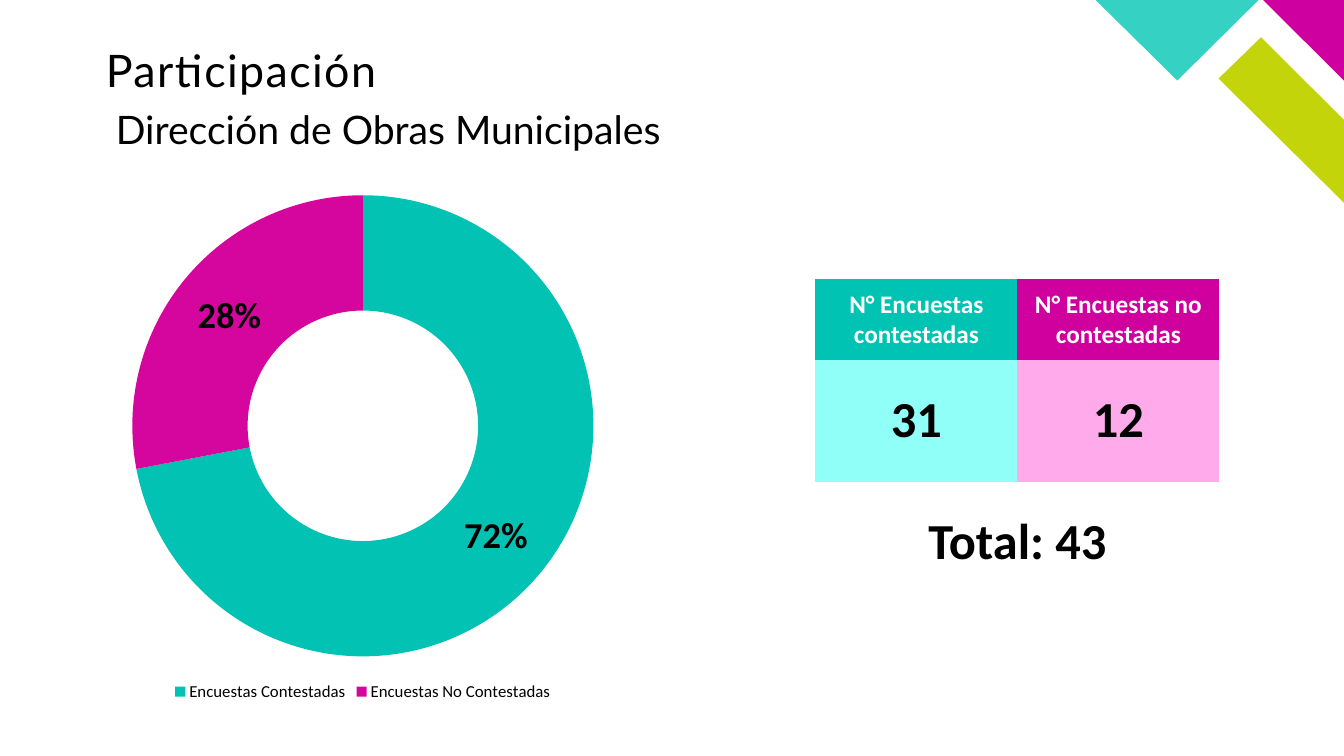
from dataclasses import dataclass

import pptx
import pptx.chart.data
import pptx.dml.color
import pptx.enum.chart
import pptx.enum.text
import pptx.oxml
import pptx.oxml.ns
import pptx.slide
import pptx.text.text
import pptx.util

Cm = pptx.util.Cm
Pt = pptx.util.Pt
RGBColor = pptx.dml.color.RGBColor
Align = pptx.enum.text.PP_ALIGN
Anchor = pptx.enum.text.MSO_ANCHOR

BLACK = RGBColor(0x00, 0x00, 0x00)
WHITE = RGBColor(0xFF, 0xFF, 0xFF)
LIME = RGBColor(0xC4, 0xD4, 0x0A)
CORNER_MAGENTA = RGBColor(0xCE, 0x00, 0x9F)
CORNER_TEAL = RGBColor(0x35, 0xD2, 0xC4)
HEADER_TEAL = RGBColor(0x00, 0xC3, 0xB3)
HEADER_MAGENTA = RGBColor(0xD0, 0x00, 0x9E)
PALE_TEAL = RGBColor(0x8F, 0xFF, 0xF7)
PALE_MAGENTA = RGBColor(0xFF, 0xAB, 0xEB)
CHART_TEAL = RGBColor(0x01, 0xC2, 0xB3)
CHART_MAGENTA = RGBColor(0xD4, 0x06, 0x9D)

PLAIN_TABLE_STYLE = "{2D5ABB26-0587-4C30-8999-92F81FD0307C}"
TABLE_LEFT, TABLE_TOP = 20.55, 7.04
COLUMN_WIDTH, HEADER_HEIGHT, COUNT_HEIGHT = 5.09, 2.04, 3.07


@dataclass
class CornerPiece:
    points: list[tuple[float, float]]
    color: RGBColor


@dataclass
class SurveyGroup:
    header: str
    count: str
    header_color: RGBColor
    count_color: RGBColor


@dataclass
class Share:
    label: str
    value: float
    color: RGBColor


CORNER_PIECES = [
    CornerPiece([(33.87, 5.11), (33.87, 3.02), (31.78, 0.94), (30.71, 1.98)], LIME),
    CornerPiece([(33.87, 2.03), (33.87, 0), (31.83, 0)], CORNER_MAGENTA),
    CornerPiece([(27.61, 0), (29.67, 2.03), (31.72, 0)], CORNER_TEAL),
]
GROUPS = [
    SurveyGroup("N° Encuestas contestadas", "31", HEADER_TEAL, PALE_TEAL),
    SurveyGroup("N° Encuestas no contestadas", "12", HEADER_MAGENTA, PALE_MAGENTA),
]
SHARES = [
    Share("Encuestas Contestadas", 0.72, CHART_TEAL),
    Share("Encuestas No Contestadas", 0.28, CHART_MAGENTA),
]


def write_text(frame: pptx.text.text.TextFrame, text: str, *, size: float,
               font: str = "Calibri", color: RGBColor = BLACK, bold: bool = False,
               align: Align = Align.LEFT, line_spacing: float = 0.9,
               letter_spacing: float = 0) -> None:
    frame.word_wrap = True
    paragraph = frame.paragraphs[0]
    paragraph.alignment = align
    paragraph.line_spacing = line_spacing
    run = paragraph.add_run()
    run.text = text
    run.font.name = font
    run.font.size = Pt(size)
    run.font.bold = bold
    run.font.color.rgb = color
    if letter_spacing:
        run.font._element.set("spc", str(round(letter_spacing * 100)))


def add_text_frame(slide: pptx.slide.Slide, left: float, top: float, width: float,
                   height: float, anchor: Anchor = Anchor.TOP) -> pptx.text.text.TextFrame:
    box = slide.shapes.add_textbox(Cm(left), Cm(top), Cm(width), Cm(height))
    box.text_frame.vertical_anchor = anchor
    return box.text_frame


def add_corner_piece(slide: pptx.slide.Slide, piece: CornerPiece) -> None:
    points = [(round(x * 100), round(y * 100)) for x, y in piece.points]
    builder = slide.shapes.build_freeform(*points[0], scale=Cm(0.01))
    builder.add_line_segments(points[1:], close=True)
    shape = builder.convert_to_shape()
    shape.shadow.inherit = False
    shape.fill.solid()
    shape.fill.fore_color.rgb = piece.color
    shape.line.fill.background()


def add_headings(slide: pptx.slide.Slide) -> None:
    title = add_text_frame(slide, 2.67, 1.22, 14.25, 1.7)
    title.margin_left = title.margin_right = title.margin_top = title.margin_bottom = 0
    write_text(title, "Participación", size=32, font="Lato", letter_spacing=1)
    subtitle = add_text_frame(slide, 2.67, 2.67, 24.84, 2.44)
    write_text(subtitle, "Dirección de Obras Municipales", size=28, font="Lato")


def add_survey_table(slide: pptx.slide.Slide) -> None:
    """Draw the coloured table, the counts over its lower row and the total."""
    width = COLUMN_WIDTH * len(GROUPS)
    table = slide.shapes.add_table(
        2, len(GROUPS), Cm(TABLE_LEFT), Cm(TABLE_TOP),
        Cm(width), Cm(HEADER_HEIGHT + COUNT_HEIGHT)).table
    table._tbl.tblPr.find(pptx.oxml.ns.qn("a:tableStyleId")).text = PLAIN_TABLE_STYLE
    table.horz_banding = False
    table.rows[0].height = Cm(HEADER_HEIGHT)
    table.rows[1].height = Cm(COUNT_HEIGHT)
    count_top = TABLE_TOP + HEADER_HEIGHT

    for column, group in enumerate(GROUPS):
        table.columns[column].width = Cm(COLUMN_WIDTH)
        for row, color in enumerate((group.header_color, group.count_color)):
            cell = table.cell(row, column)
            cell.vertical_anchor = Anchor.MIDDLE
            cell.fill.solid()
            cell.fill.fore_color.rgb = color
        write_text(table.cell(0, column).text_frame, group.header, size=18,
                   color=WHITE, bold=True, align=Align.CENTER, line_spacing=1)
        count = add_text_frame(slide, TABLE_LEFT + column * COLUMN_WIDTH, count_top,
                               COLUMN_WIDTH, COUNT_HEIGHT, Anchor.MIDDLE)
        write_text(count, group.count, size=36, bold=True, align=Align.CENTER)

    total = add_text_frame(slide, TABLE_LEFT, count_top + COUNT_HEIGHT,
                           width, COUNT_HEIGHT, Anchor.MIDDLE)
    write_text(total, "Total: 43", size=36, bold=True, align=Align.CENTER)


def add_share_chart(slide: pptx.slide.Slide) -> None:
    data = pptx.chart.data.CategoryChartData(number_format="0%")
    data.categories = [share.label for share in SHARES]
    data.add_series("Series 1", [share.value for share in SHARES])
    chart = slide.shapes.add_chart(
        pptx.enum.chart.XL_CHART_TYPE.DOUGHNUT,
        Cm(2.54), Cm(4.57), Cm(13.21), Cm(13.21), data).chart
    chart.has_title = False
    chart.font.name = "Calibri"
    chart.font.size = Pt(18)
    chart.font.color.rgb = WHITE

    chart.has_legend = True
    chart.legend.position = pptx.enum.chart.XL_LEGEND_POSITION.BOTTOM
    chart.legend.include_in_layout = False
    chart.legend.font.name = "Calibri"
    chart.legend.font.size = Pt(12)
    chart.legend.font.color.rgb = BLACK

    plot = chart.plots[0]
    series = plot.series[0]
    for index, share in enumerate(SHARES):
        point_format = series.points[index].format
        point_format.fill.solid()
        point_format.fill.fore_color.rgb = share.color
        point_format.line.fill.background()
    plot.has_data_labels = True
    labels = plot.data_labels
    labels.show_value = True
    labels.show_percentage = False
    labels.number_format = "0%"
    labels.number_format_is_linked = False
    labels.font.name = "Calibri"
    labels.font.size = Pt(26)
    labels.font.bold = True
    labels.font.color.rgb = BLACK
    plot._element.find(pptx.oxml.ns.qn("c:holeSize")).set("val", "50")


def main() -> None:
    presentation = pptx.Presentation()
    presentation.slide_width = Cm(33.87)
    presentation.slide_height = Cm(19.05)
    slide = presentation.slides.add_slide(presentation.slide_layouts[6])
    for piece in CORNER_PIECES:
        add_corner_piece(slide, piece)
    add_survey_table(slide)
    add_headings(slide)
    add_share_chart(slide)
    presentation.save("out.pptx")


if __name__ == "__main__":
    main()
